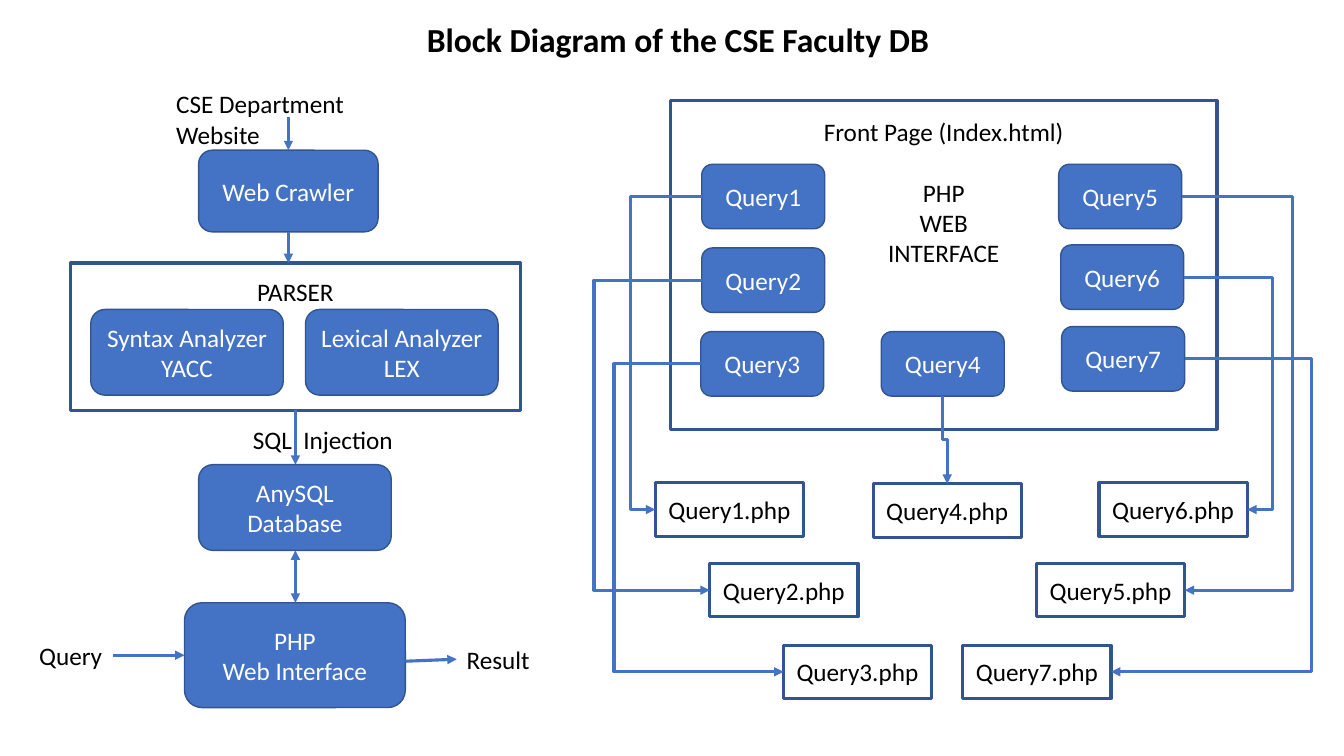
from lxml import etree
from pptx import Presentation
from pptx.dml.color import RGBColor
from pptx.enum.shapes import MSO_CONNECTOR as CONN, MSO_SHAPE as SHAPE
from pptx.enum.text import MSO_ANCHOR as ANCHOR, PP_ALIGN as ALIGN
from pptx.oxml.ns import qn
from pptx.util import Inches, Pt

COLORS = {"blue": "4472C4", "edge": "325491", "white": "FFFFFF", "black": "000000"}
FONT = "Calibri"
QUERY_W, QUERY_H = 1.22, 0.64
PAGE_W, PAGE_H = 1.47, 0.53
# number: query left, top; page left, top; x of the bend (None: straight down)
QUERIES = {
    1: (1.06, 0.63, 0.6, 3.79, 0.35),
    2: (1.06, 1.46, 1.14, 4.59, -0.01),
    3: (1.05, 2.29, 1.87, 5.4, 0.19),
    4: (2.84, 2.29, 2.76, 3.8, None),
    5: (4.6, 0.63, 4.38, 4.59, 6.92),
    6: (4.62, 1.43, 5.0, 3.79, 6.72),
    7: (4.63, 2.24, 3.65, 5.4, 7.11),
}


def rgb(name):
    """Return the named colour."""
    return RGBColor.from_string(COLORS[name])


def write(sp, text, color, align=ALIGN.CENTER, size=18, bold=False):
    """Put text in a shape and format every run."""
    tf = sp.text_frame
    tf.text = text
    for p in tf.paragraphs:
        p.alignment = align
        for r in p.runs:
            r.font.name, r.font.size, r.font.bold = FONT, Pt(size), bold
            r.font.color.rgb = rgb(color)
    return tf


def add_box(s, kind, x, y, w, h, text, fill, color, line_width):
    """Add an outlined box with centred text."""
    sp = s.shapes.add_shape(kind, Inches(x), Inches(y), Inches(w), Inches(h))
    sp.shadow.inherit = False
    sp.fill.solid()
    sp.fill.fore_color.rgb = rgb(fill)
    sp.line.color.rgb = rgb("edge")
    sp.line.width = Pt(line_width)
    tf = write(sp, text, color)
    tf.word_wrap = True
    tf.vertical_anchor = ANCHOR.MIDDLE
    return tf


def add_block(s, x, y, w, h, text):
    """Add a blue rounded block."""
    return add_box(s, SHAPE.ROUNDED_RECTANGLE, x, y, w, h, text, "blue", "white", 1)


def add_frame(s, x, y, w, h, text):
    """Add a white framed rectangle."""
    return add_box(s, SHAPE.RECTANGLE, x, y, w, h, text, "white", "black", 2.25)


def add_label(s, x, y, w, h, text, wrap=True, **style):
    """Add a plain text label."""
    sp = s.shapes.add_textbox(Inches(x), Inches(y), Inches(w), Inches(h))
    write(sp, text, "black", **style).word_wrap = wrap


def add_arrow(s, x1, y1, x2, y2, kind=CONN.STRAIGHT, both=False):
    """Add an arrow, with a second head at its start if both is set."""
    c = s.shapes.add_connector(kind, Inches(x1), Inches(y1), Inches(x2), Inches(y2))
    c.line.color.rgb = rgb("blue")
    c.line.width = Pt(2.25)
    ln = c.line._get_or_add_ln()
    for end in ["headEnd", "tailEnd"] if both else ["tailEnd"]:
        etree.SubElement(ln, qn(f"a:{end}"), type="triangle")
    etree.SubElement(c._element.spPr, qn("a:effectLst"))
    return c


def add_side_elbow(s, x1, y1, x2, y2, bend):
    """Add an elbow arrow whose vertical part stands at x = bend."""
    c = add_arrow(s, x1, y1, x2, y2, CONN.ELBOW)
    guides = c._element.spPr.find(qn("a:prstGeom")).get_or_add_avLst()
    ratio = round((bend - x1) / (x2 - x1) * 100000)
    etree.SubElement(guides, qn("a:gd"), name="adj1", fmla=f"val {ratio}")


def add_down_elbow(s, x1, y1, x2, y2):
    """Add an elbow arrow that leaves and arrives vertically, by a quarter turn."""
    cx, cy = (x1 + x2) / 2, (y1 + y2) / 2
    dx, dy = (x2 - x1) / 2, (y2 - y1) / 2
    c = add_arrow(s, cx + dy, cy - dx, cx - dy, cy + dx, CONN.ELBOW)
    c._element.spPr.find(qn("a:xfrm")).set("rot", str(270 * 60000))


def draw_pipeline(s, x, y):
    """Draw the flow from the department website down to the web interface."""
    add_block(s, x + 1.54, y + 5.15, 2.19, 1.04, "PHP\nWeb Interface")
    add_label(s, x + 2.12, y + 3.33, 1.67, 0.4, "SQL  Injection", align=ALIGN.LEFT)
    add_block(s, x + 1.68, y + 0.66, 1.78, 0.81, "Web Crawler")
    add_block(s, x + 1.68, y + 3.78, 1.91, 0.85, "AnySQL\nDatabase")
    tf = add_frame(s, x + 0.41, y + 1.78, 4.46, 1.46, "PARSER")
    tf.vertical_anchor, tf.margin_top = ANCHOR.TOP, Inches(0.13)
    for i, text in enumerate(["Syntax Analyzer\nYACC", "Lexical Analyzer\nLEX"]):
        add_block(s, x + 0.61 + i * 2.13, y + 2.24, 1.91, 0.85, text)
    for dx, dy, w, text in [(1.36, 0, 2.3, "CSE Department Website"),
                            (0, 5.47, 0.9, "Query"), (4.24, 5.51, 0.9, "Result")]:
        add_label(s, x + dx, y + dy, w, 0.4, text, align=ALIGN.LEFT)
    for x1, y1, x2, y2 in [(2.57, 0.33, 2.57, 0.66), (2.57, 1.47, 2.57, 1.78),
                           (2.64, 3.24, 2.64, 3.78), (0.83, 5.67, 1.54, 5.67),
                           (3.73, 5.73, 4.24, 5.71)]:
        add_arrow(s, x + x1, y + y1, x + x2, y + y2)
    add_arrow(s, x + 2.64, y + 4.63, x + 2.64, y + 5.15, both=True)


def draw_front_page(s, x, y):
    """Draw the front page, its queries and the pages they open."""
    tf = add_frame(s, x + 0.75, y, 5.42, 3.26,
                   "Front Page (Index.html)\nPHP\nWEB\nINTERFACE")
    tf.vertical_anchor, tf.margin_top = ANCHOR.TOP, Inches(0.15)
    tf.paragraphs[1].space_before = Pt(22)
    for n, (qx, qy, px, py, bend) in QUERIES.items():
        qx, qy, px, py = x + qx, y + qy, x + px, y + py
        add_block(s, qx, qy, QUERY_W, QUERY_H, f"Query{n}")
        add_frame(s, px, py, PAGE_W, PAGE_H, f"Query{n}.php")
        if bend is None:
            add_down_elbow(s, qx + QUERY_W / 2, qy + QUERY_H, px + PAGE_W / 2, py)
            continue
        side = 1 if x + bend > qx else 0
        add_side_elbow(s, qx + side * QUERY_W, qy + QUERY_H / 2,
                       px + side * PAGE_W, py + PAGE_H / 2, x + bend)


prs = Presentation()
prs.slide_width, prs.slide_height = Inches(13.33), Inches(7.5)
s = prs.slides.add_slide(prs.slide_layouts[6])
draw_front_page(s, 5.9, 1)
draw_pipeline(s, 0.29, 0.83)
add_label(s, 4.11, 0.14, 5.23, 0.5, "Block Diagram of the CSE Faculty DB",
          wrap=False, size=24, bold=True)
prs.save("out.pptx")
